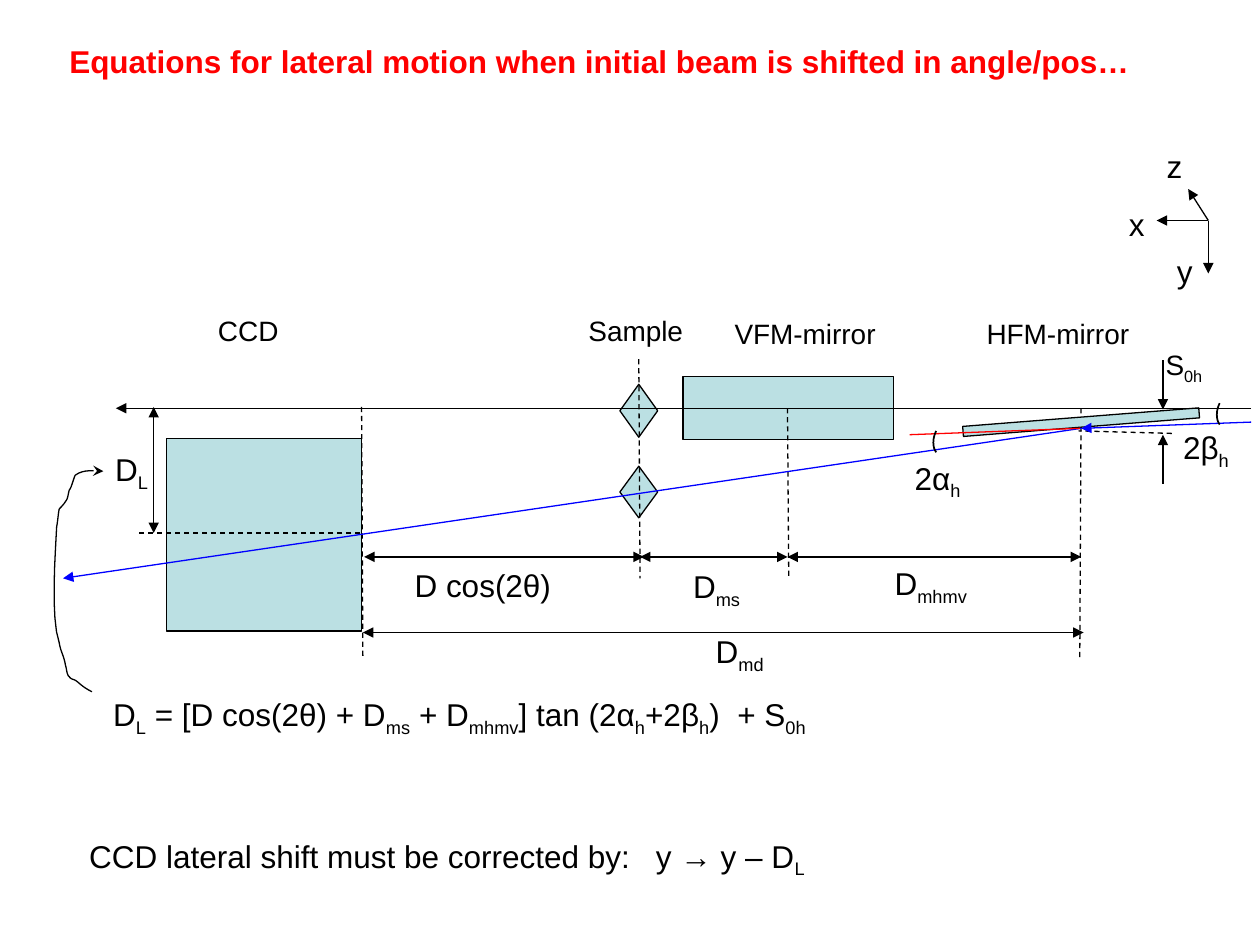
from dataclasses import dataclass

from lxml import etree
from pptx import Presentation, util as u
from pptx.dml.color import RGBColor
from pptx.enum import dml, shapes, text
from pptx.oxml.ns import qn

BLACK = RGBColor(0x00, 0x00, 0x00)
RED = RGBColor(0xFF, 0x00, 0x00)
BLUE = RGBColor(0x00, 0x00, 0xFF)
PALE_TEAL = RGBColor(0xBB, 0xE0, 0xE3)

THIN = 0.74
MARGIN = (0.1, 0.05)  # inner margins of the full-width texts
BOTH = ("triangle", "triangle")
FORWARD = (None, "triangle")
BACKWARD = ("triangle", None)

# Shared positions on the beam line, in inches
DETECTOR_X, SAMPLE_X, VFM_X, HFM_X = 2.87, 5.08, 6.25, 8.58
AXIS_Y, HIT_Y, DIM_Y, TOTAL_Y = 3.24, 3.4, 4.42, 5.02

Point = tuple[float, float]


@dataclass
class Part:
    preset: shapes.MSO_SHAPE
    left: float
    top: float
    width: float
    height: float
    rotation: float = 0


@dataclass
class Line:
    start: Point
    end: Point
    ends: tuple = (None, None)
    color: RGBColor = BLACK
    dashed: bool = False


@dataclass
class Label:
    left: float
    top: float
    width: float
    height: float
    pieces: tuple  # normal and subscript pieces alternate
    size: int = 18
    margin: Point = (0, 0)
    anchor: text.MSO_ANCHOR = text.MSO_ANCHOR.TOP
    align: text.PP_ALIGN = text.PP_ALIGN.LEFT


def inch(value: float) -> u.Length:
    return u.Cm(value * 2.54)


def style_line(line, color: RGBColor, width: float, ends: tuple = (None, None)) -> None:
    line.color.rgb = color
    line.width = u.Pt(width)
    for tag, kind in zip(("a:headEnd", "a:tailEnd"), ends):
        if kind:
            etree.SubElement(line._get_or_add_ln(), qn(tag), type=kind)


def draw_line(line: Line) -> None:
    connector = slide.shapes.add_connector(
        shapes.MSO_CONNECTOR.STRAIGHT, *map(inch, line.start + line.end))
    if line.dashed:
        connector.line.dash_style = dml.MSO_LINE.DASH
    style_line(connector.line, line.color, THIN, line.ends)
    etree.SubElement(connector._element.spPr, qn("a:effectLst"))


def draw_part(part: Part) -> None:
    box = slide.shapes.add_shape(
        part.preset, *map(inch, (part.left, part.top, part.width, part.height)))
    box.rotation = part.rotation
    box.fill.solid()
    box.fill.fore_color.rgb = PALE_TEAL
    style_line(box.line, BLACK, THIN)
    box.shadow.inherit = False


def draw_curve(start: Point, bends: list, width: float, ends: tuple = (None, None)) -> None:
    """Trace cubic bends, each given as two controls and an end point."""
    points, origin = [], start
    for bend in bends:
        knots = (origin, *bend)
        for step in range(1, 9):
            t = step / 8
            weights = ((1 - t) ** 3, 3 * t * (1 - t) ** 2, 3 * t * t * (1 - t), t ** 3)
            points.append(tuple(
                inch(sum(w * k[axis] for w, k in zip(weights, knots))) for axis in (0, 1)))
        origin = bend[-1]
    builder = slide.shapes.build_freeform(*map(inch, start))
    builder.add_line_segments(points, close=False)
    curve = builder.convert_to_shape()
    curve.fill.background()
    style_line(curve.line, BLACK, width, ends)
    curve.shadow.inherit = False


def fill_label(box, label: Label, color: RGBColor = BLACK, bold: bool = False) -> None:
    box.left, box.top, box.width, box.height = map(
        inch, (label.left, label.top, label.width, label.height))
    frame = box.text_frame
    frame.word_wrap = True
    frame.auto_size = text.MSO_AUTO_SIZE.NONE
    frame.vertical_anchor = label.anchor
    frame.margin_left = frame.margin_right = inch(label.margin[0])
    frame.margin_top = frame.margin_bottom = inch(label.margin[1])
    paragraph = frame.paragraphs[0]
    paragraph.alignment = label.align
    for index, piece in enumerate(label.pieces):
        run = paragraph.add_run()
        run.text = piece
        run.font.name = "Arial"
        run.font.size = u.Pt(label.size)
        run.font.bold = bold
        run.font.color.rgb = color
        if index % 2:
            run._r.get_or_add_rPr().set("baseline", "-25000")


def component(left: float, top: float, width: float, name: str) -> Label:
    return Label(left, top, width, 0.27, (name,), 16, anchor=text.MSO_ANCHOR.MIDDLE)


prs = Presentation()
prs.slide_width, prs.slide_height = inch(10), inch(7.5)
slide = prs.slides.add_slide(prs.slide_layouts[5])

# Heading
fill_label(slide.shapes.title, Label(0.45, 0.28, 9.22, 0.4, (
    "Equations for lateral motion when initial beam is shifted in angle/pos…",),
    margin=MARGIN), RED, bold=True)

# Optical components, above the guide through the HFM mirror
draw_line(Line((HFM_X, AXIS_Y), (8.57, 5.24), dashed=True))
RECT, DIAMOND = shapes.MSO_SHAPE.RECTANGLE, shapes.MSO_SHAPE.DIAMOND
for part in (
    Part(RECT, 5.42, 2.99, 1.67, 0.5),
    Part(DIAMOND, 4.92, 3.05, 0.3, 0.42),
    Part(DIAMOND, 4.92, 3.7, 0.3, 0.41),
    Part(RECT, 7.64, 3.31, 1.88, 0.08, 175.5),
    Part(RECT, 1.32, 3.48, 1.55, 1.53),
):
    draw_part(part)

AXES = (9.59, 1.75)
for line in (
    # Coordinate axes
    *(Line(AXES, tip, FORWARD) for tip in ((9.59, 2.17), (9.18, 1.75), (9.43, 1.5))),
    # Guides
    Line((5.07, 2.85), (SAMPLE_X, 4.59), dashed=True),
    Line((VFM_X, AXIS_Y), (6.26, 4.59), dashed=True),
    Line((DETECTOR_X, 3.23), (2.88, 5.22), dashed=True),
    Line((2.86, 4.23), (1.1, 4.23), dashed=True),
    Line((9.3, 3.44), (8.56, 3.42), dashed=True),
    # Beams
    Line((HFM_X, HIT_Y), (0.5, 4.59), FORWARD, BLUE),
    Line((9.93, AXIS_Y), (0.92, AXIS_Y), FORWARD),
    Line((9.93, 3.35), (HFM_X, HIT_Y), FORWARD, BLUE),
    Line((8.57, HIT_Y), (7.22, 3.45), color=RED),
    # Dimensions
    Line((1.22, 3.23), (1.22, 4.23), BOTH),
    Line((2.89, DIM_Y), (5.11, DIM_Y), BOTH),
    Line((SAMPLE_X, DIM_Y), (VFM_X, DIM_Y), BOTH),
    Line((VFM_X, DIM_Y), (HFM_X, DIM_Y), BOTH),
    Line((2.88, TOTAL_Y), (8.6, TOTAL_Y), BOTH),
    Line((9.23, 3.45), (9.23, 3.84), BACKWARD),
    Line((9.23, 2.86), (9.23, 3.25), FORWARD),
):
    draw_line(line)

# Angle marks
for x, y in ((7.43, 3.59), (9.68, 3.37)):
    draw_curve((x, y), [((x - 0.03, y - 0.04), (x - 0.03, y - 0.11), (x, y - 0.17))], 1)

# Arrow from the equation to the lateral shift
draw_curve((0.82, 3.74), [
    ((0.75, 3.74), (0.67, 3.72), (0.6, 3.77)),
    ((0.59, 3.77), (0.57, 3.87), (0.55, 3.89)),
    ((0.54, 3.92), (0.54, 3.96), (0.52, 3.98)),
    ((0.51, 4), (0.47, 4.04), (0.47, 4.04)),
    ((0.46, 4.09), (0.46, 4.13), (0.45, 4.18)),
    ((0.44, 4.38), (0.4, 4.91), (0.47, 5.1)),
    ((0.48, 5.17), (0.51, 5.21), (0.52, 5.28)),
    ((0.53, 5.31), (0.53, 5.36), (0.55, 5.37)),
    ((0.56, 5.39), (0.58, 5.39), (0.6, 5.4)),
    ((0.63, 5.42), (0.65, 5.45), (0.73, 5.49)),
], THIN, ("stealth", None))

# Labels and equations
for label in (
    *(Label(x, y, 0.17, 0.3, (axis,))
      for x, y, axis in ((8.96, 1.63, "x"), (9.34, 2, "y"), (9.26, 1.17, "z"))),
    component(1.73, 2.49, 0.68, "CCD"),
    component(4.67, 2.49, 0.85, "Sample"),
    component(5.83, 2.51, 1.19, "VFM-mirror"),
    component(7.83, 2.51, 1.19, "HFM-mirror"),
    Label(9.25, 2.76, 0.38, 0.3, ("S", "0h"), 16),
    Label(7.26, 3.64, 0.5, 0.34, ("2α", "h")),
    Label(9.39, 3.4, 0.5, 0.34, ("2β", "h")),
    Label(0.81, 3.57, 0.47, 0.34, ("D", "L"), align=text.PP_ALIGN.CENTER),
    Label(3.29, 4.49, 1.35, 0.34, ("D cos(2θ)",)),
    Label(5.5, 4.5, 0.42, 0.34, ("D", "ms")),
    Label(7.1, 4.48, 0.7, 0.34, ("D", "mhmv")),
    Label(5.68, 5.02, 0.42, 0.34, ("D", "md")),
    Label(0.8, 5.47, 7.43, 0.74, (
        "D", "L", " = [D cos(2θ) + D", "ms", " + D", "mhmv", "] tan (2α", "h",
        "+2β", "h", ")  + S", "0h"), margin=MARGIN),
    Label(0.61, 6.59, 8.58, 0.44, (
        "CCD lateral shift must be corrected by:   y → y – D", "L"), margin=MARGIN),
):
    fill_label(slide.shapes.add_textbox(0, 0, 0, 0), label)

prs.save("out.pptx")
